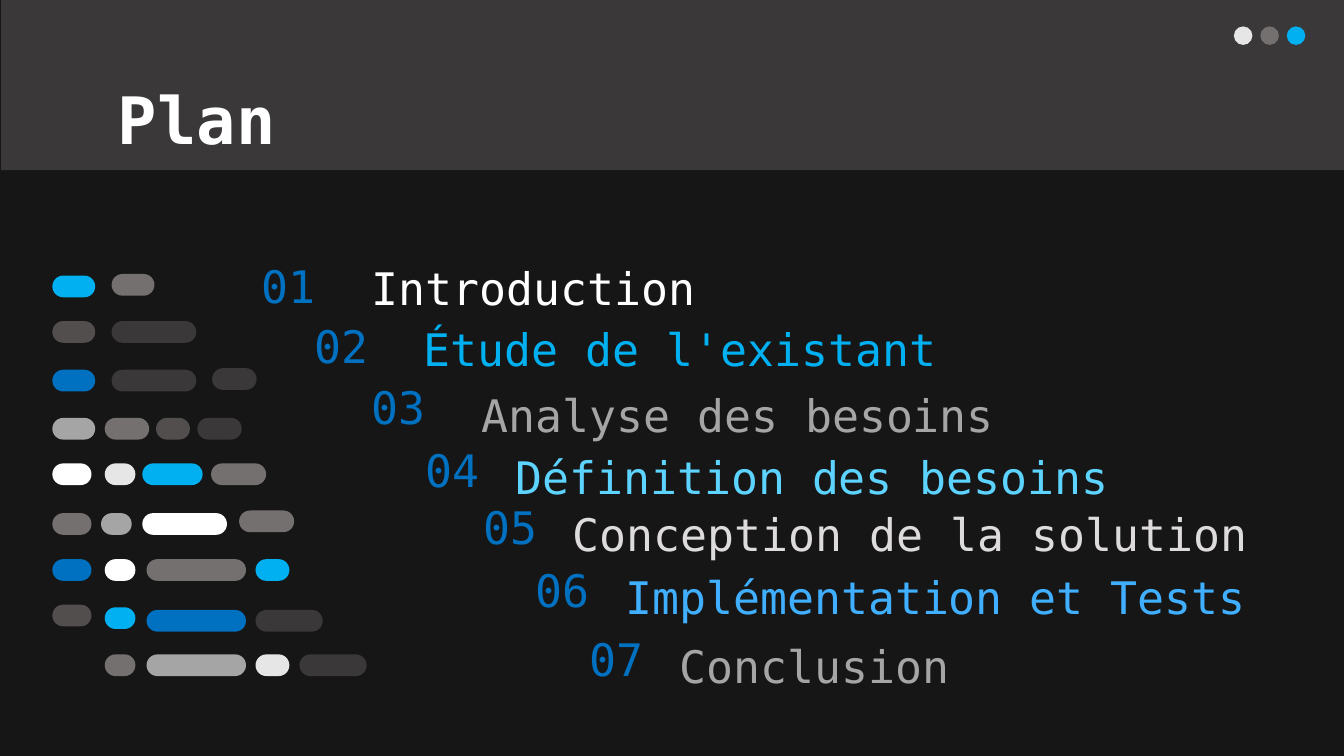
from dataclasses import dataclass
from itertools import zip_longest

from pptx import Presentation
from pptx.dml.color import RGBColor
from pptx.enum.shapes import MSO_SHAPE
from pptx.enum.text import MSO_ANCHOR, MSO_AUTO_SIZE, PP_ALIGN
from pptx.oxml.ns import qn
from pptx.util import Cm, Pt


@dataclass(frozen=True)
class Theme:
    font: str = "DejaVu Sans Mono"
    title_size: int = 35
    item_size: int = 24
    back: str = "171616"
    dark: str = "3A3838"
    dim: str = "524E4E"
    grey: str = "757070"
    silver: str = "A5A5A5"
    pale: str = "E7E6E6"
    mist: str = "DDDBDB"
    white: str = "FFFFFF"
    blue: str = "0070C0"
    cyan: str = "00B0F0"
    sky: str = "5DD4FF"
    azure: str = "40AFFF"


T = Theme()

ITEMS = [
    (4.7, 4.85, 1.09, 11.68, "Introduction", T.white),
    (5.69, 5.99, 1.09, 17.88, "Étude de l'existant", T.cyan),
    (6.78, 7.24, 0.91, 11.68, "Analyse des besoins", T.silver),
    (7.8, 8.42, 0.91, 16.36, "Définition des besoins", T.sky),
    (8.89, 9.5, 0.91, 15.8, "Conception de la solution", T.mist),
    (9.88, 10.69, 0.91, 14.4, "Implémentation et Tests", T.azure),
    (10.9, 11.99, 0.91, 11.68, "Conclusion", T.silver),
]
INDENTED_ITEMS = 3
LABEL_OFFSET = 1.69

CODE_ROWS = [
    [(0.99, 5.21, 0.81, T.cyan), (2.11, 5.18, 0.81, T.grey)],
    [(0.99, 6.07, 0.81, T.dim), (2.11, 6.07, 1.6, T.dark)],
    [(0.99, 6.99, 0.81, T.blue), (2.11, 6.99, 1.6, T.dark),
     (4.01, 6.96, 0.84, T.dark)],
    [(0.99, 7.9, 0.81, T.silver), (1.98, 7.9, 0.84, T.grey),
     (2.95, 7.9, 0.64, T.dim), (3.73, 7.9, 0.84, T.dark)],
    [(0.99, 8.76, 0.74, T.white), (1.98, 8.76, 0.58, T.pale),
     (2.69, 8.76, 1.14, T.cyan), (3.99, 8.76, 1.04, T.grey)],
    [(0.99, 9.7, 0.74, T.grey), (1.91, 9.7, 0.58, T.silver),
     (2.69, 9.7, 1.6, T.white), (4.52, 9.65, 1.04, T.grey)],
    [(0.99, 10.57, 0.74, T.blue), (1.98, 10.57, 0.58, T.white),
     (2.77, 10.57, 1.88, T.grey), (4.83, 10.57, 0.64, T.cyan)],
    [(0.99, 11.43, 0.74, T.dim), (1.98, 11.48, 0.58, T.cyan),
     (2.77, 11.53, 1.88, T.blue), (4.83, 11.53, 1.27, T.dark)],
    [(1.98, 12.37, 0.58, T.grey), (2.77, 12.37, 1.88, T.silver),
     (4.83, 12.37, 0.64, T.pale), (5.66, 12.37, 1.27, T.dark)],
]
PILL_HEIGHT = 0.41


def add_block(shapes, kind, x, y, w, h, color):
    sp = shapes.add_shape(kind, Cm(x), Cm(y), Cm(w), Cm(h))
    sp.shadow.inherit = False
    sp.fill.solid()
    sp.fill.fore_color.rgb = RGBColor.from_string(color)
    sp.line.fill.background()
    return sp


def place(sp, x, y, w, h):
    sp.left, sp.top, sp.width, sp.height = Cm(x), Cm(y), Cm(w), Cm(h)
    return sp


def write(sp, text, *, color, size=T.item_size, bold=False,
          anchor=MSO_ANCHOR.MIDDLE, spacing=1.0, margin=0, indent=0):
    tf = sp.text_frame
    tf.word_wrap = True
    tf.auto_size = MSO_AUTO_SIZE.NONE
    tf.vertical_anchor = anchor
    tf.margin_left = tf.margin_right = tf.margin_top = tf.margin_bottom = Cm(0.25)
    p = tf.paragraphs[0]
    p.alignment = PP_ALIGN.LEFT
    p.line_spacing = spacing
    p.space_before = p.space_after = Pt(0)
    pPr = p._p.get_or_add_pPr()
    pPr.set("marL", str(Cm(margin)))
    pPr.set("indent", str(Cm(indent)))
    pPr.append(pPr.makeelement(qn("a:buNone"), {}))
    r = p.add_run()
    r.text = text
    r.font.name = T.font
    r.font.size = Pt(size)
    r.font.bold = bold
    r.font.color.rgb = RGBColor.from_string(color)


def add_header(s):
    add_block(s.shapes, MSO_SHAPE.RECTANGLE, 0.02, 0, 25.38, 3.22, T.dark)
    dots = s.shapes.add_group_shape()
    for i, color in enumerate((T.pale, T.grey, T.cyan)):
        add_block(dots.shapes, MSO_SHAPE.OVAL, 23.32 + i * 0.5, 0.5, 0.35, 0.35, color)
    title = place(s.shapes.title, 1.98, 1.24, 21.41, 1.6)
    s.shapes._spTree.append(title._element)
    write(title, "Plan", color=T.white, size=T.title_size, bold=True,
          anchor=MSO_ANCHOR.TOP)


def add_code_lines(s):
    group = s.shapes.add_group_shape()
    for row in CODE_ROWS:
        for x, y, w, color in row:
            sp = add_block(group.shapes, MSO_SHAPE.ROUNDED_RECTANGLE,
                           x, y, w, PILL_HEIGHT, color)
            sp.adjustments[0] = 0.5


def add_textbox(s):
    return s.shapes.add_textbox(0, 0, 0, 0)


def add_plan(s):
    bodies = list(s.placeholders)[1:]
    for n, (item, body) in enumerate(zip_longest(ITEMS, bodies), 1):
        x, y, h, w, text, color = item
        write(place(add_textbox(s), x, y, 1.68, h), f"{n:02}", color=T.blue)
        label = place(body or add_textbox(s), x + LABEL_OFFSET, y, w, 1.35)
        margin, indent = (1.27, -0.89) if n <= INDENTED_ITEMS else (0, 0)
        write(label, text, color=color, anchor=MSO_ANCHOR.BOTTOM,
              spacing=1.15, margin=margin, indent=indent)


def main():
    prs = Presentation()
    prs.slide_width, prs.slide_height = Cm(25.4), Cm(14.29)
    s = prs.slides.add_slide(prs.slide_layouts.get_by_name("Comparison"))
    s.background.fill.solid()
    s.background.fill.fore_color.rgb = RGBColor.from_string(T.back)
    add_header(s)
    add_code_lines(s)
    add_plan(s)
    prs.save("out.pptx")


if __name__ == "__main__":
    main()
